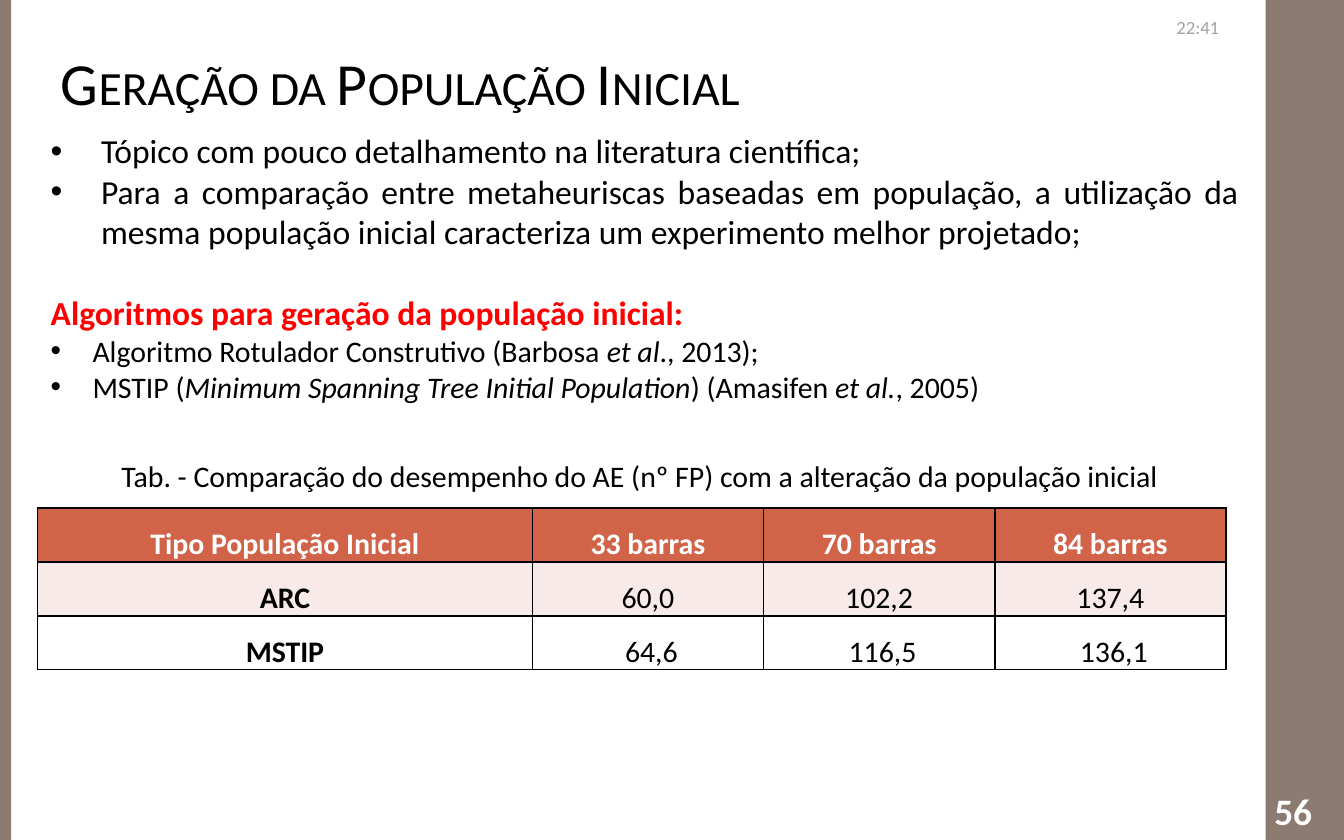
from lxml import etree
from pptx import Presentation
from pptx.dml.color import RGBColor
from pptx.enum.shapes import MSO_SHAPE
from pptx.enum.text import MSO_ANCHOR, PP_ALIGN
from pptx.oxml.ns import qn
from pptx.util import Cm, Pt

RECTANGLE = MSO_SHAPE.RECTANGLE
TOP, MIDDLE, BOTTOM = MSO_ANCHOR.TOP, MSO_ANCHOR.MIDDLE, MSO_ANCHOR.BOTTOM
LEFT, CENTER, RIGHT, JUSTIFY = PP_ALIGN.LEFT, PP_ALIGN.CENTER, PP_ALIGN.RIGHT, PP_ALIGN.JUSTIFY

FONT = "Calibri"
BLACK = RGBColor(0x00, 0x00, 0x00)
WHITE = RGBColor(0xFF, 0xFF, 0xFF)
RED = RGBColor(0xFF, 0x00, 0x00)
GRAY = RGBColor(0xA2, 0xA2, 0xA2)
BROWN = RGBColor(0x8C, 0x7B, 0x70)
ORANGE = RGBColor(0xD1, 0x63, 0x49)
PINK = RGBColor(0xF7, 0xEA, 0xE9)

# Content: a string or a list of (text, italic) runs
TITLE = "Geração da População Inicial"
TIME = "22:41"
PAGE_NUMBER = "56"
TOPICS = [
    "Tópico com pouco detalhamento na literatura científica;",
    "Para a comparação entre metaheuriscas baseadas em população, a utilização da "
    "mesma população inicial caracteriza um experimento melhor projetado;",
]
HEADING = "Algoritmos para geração da população inicial:"
ALGORITHMS = [
    [("Algoritmo Rotulador Construtivo (Barbosa ", False), ("et al", True),
     ("., 2013);", False)],
    [("MSTIP (", False), ("Minimum Spanning Tree Initial Population", True),
     (") (Amasifen ", False), ("et al.", True), (", 2005)", False)],
]
CAPTION = "Tab. - Comparação do desempenho do AE (nº FP) com a alteração da população inicial"
ROWS = [
    ("Tipo População Inicial", "33 barras", "70 barras", "84 barras"),
    ("ARC", "60,0", "102,2", "137,4"),
    ("MSTIP", "64,6", "116,5", "136,1"),
]
ROW_FILLS = [ORANGE, PINK, WHITE]
COLUMN_WIDTHS = [9.35, 4.37, 4.37, 4.37]
ROW_HEIGHT = 1.02


def write(frame, content, size=16, color=BLACK, bold=False, align=LEFT, indent=0,
          before=0, spacing=None, small_caps=False):
    """Add one paragraph to the frame, reusing its empty first one."""
    paragraph = frame.paragraphs[0]
    if paragraph.runs:
        paragraph = frame.add_paragraph()
    paragraph.alignment = align
    if before:
        paragraph.space_before = Pt(before)
    if spacing:
        paragraph.line_spacing = spacing
    if indent:
        properties = paragraph._p.get_or_add_pPr()
        properties.set("marL", str(Cm(indent)))
        properties.set("indent", str(-Cm(indent)))
        etree.SubElement(properties, qn("a:buFont"), typeface="Arial")
        etree.SubElement(properties, qn("a:buChar"), char="•")
    runs = [(content, False)] if isinstance(content, str) else content
    for text, italic in runs:
        run = paragraph.add_run()
        run.text = text
        font = run.font
        font.name, font.size, font.bold, font.italic = FONT, Pt(size), bold, italic
        font.color.rgb = color
        if small_caps:
            run._r.get_or_add_rPr().set("cap", "small")


def add_frame(slide, left, top, width, height, anchor=TOP):
    box = slide.shapes.add_textbox(Cm(left), Cm(top), Cm(width), Cm(height))
    frame = box.text_frame
    frame.word_wrap = True
    frame.vertical_anchor = anchor
    return frame


def add_bar(slide, left, width):
    bar = slide.shapes.add_shape(RECTANGLE, Cm(left), Cm(0), Cm(width), Cm(15.88))
    bar.shadow.inherit = False
    bar.fill.solid()
    bar.fill.fore_color.rgb = BROWN
    bar.line.fill.background()


def add_borders(cell):
    properties = cell._tc.get_or_add_tcPr()
    for side in ("lnL", "lnR", "lnT", "lnB"):
        line = etree.SubElement(properties, qn(f"a:{side}"), w=str(Pt(1)))
        fill = etree.SubElement(line, qn("a:solidFill"))
        etree.SubElement(fill, qn("a:srgbClr"), val=str(BLACK))


def add_results(slide, left, top):
    table = slide.shapes.add_table(
        len(ROWS), len(COLUMN_WIDTHS), Cm(left), Cm(top),
        Cm(sum(COLUMN_WIDTHS)), Cm(ROW_HEIGHT * len(ROWS))).table
    for column, width in zip(table.columns, COLUMN_WIDTHS):
        column.width = Cm(width)
    for i, values in enumerate(ROWS):
        table.rows[i].height = Cm(ROW_HEIGHT)
        for j, value in enumerate(values):
            cell = table.cell(i, j)
            add_borders(cell)
            cell.fill.solid()
            cell.fill.fore_color.rgb = ROW_FILLS[i]
            # The last row's numbers sit slightly to the right
            cell.margin_left = Cm(0.31 if i == 2 and j else 0.18)
            cell.margin_right = Cm(0.18)
            cell.margin_top = cell.margin_bottom = Cm(0)
            cell.vertical_anchor = BOTTOM if (i == 1) == (j == 0) and i else MIDDLE
            write(cell.text_frame, value, color=BLACK if i else WHITE,
                  bold=i == 0 or j == 0, align=CENTER, spacing=1.5)


presentation = Presentation()
presentation.slide_width, presentation.slide_height = Cm(25.4), Cm(15.88)
slide = presentation.slides.add_slide(presentation.slide_layouts[6])

# Side bars
add_bar(slide, 23.92, 1.48)
add_bar(slide, 0, 0.21)

# Title, time and page number
write(add_frame(slide, 0.9, 0.93, 23.47, 1.24, MIDDLE), TITLE, size=32, small_caps=True)
write(add_frame(slide, 19.48, 0.18, 3.81, 0.53), TIME, size=10, color=GRAY, align=RIGHT)
write(add_frame(slide, 23.65, 14.78, 1.4, 0.76), PAGE_NUMBER,
      size=20, color=WHITE, bold=True, align=RIGHT)

# Topics and algorithms
body = add_frame(slide, 0.71, 2.34, 22.96, 5.56)
for topic in TOPICS:
    write(body, topic, size=18, align=JUSTIFY, indent=0.95)
write(body, HEADING, size=18, color=RED, bold=True, align=JUSTIFY, before=22)
for algorithm in ALGORITHMS:
    write(body, algorithm, align=JUSTIFY, indent=0.79)

# Table and its caption
add_results(slide, 0.71, 9.6)
write(add_frame(slide, 0.41, 8.53, 23.37, 0.94), CAPTION, align=CENTER)

presentation.save("out.pptx")
